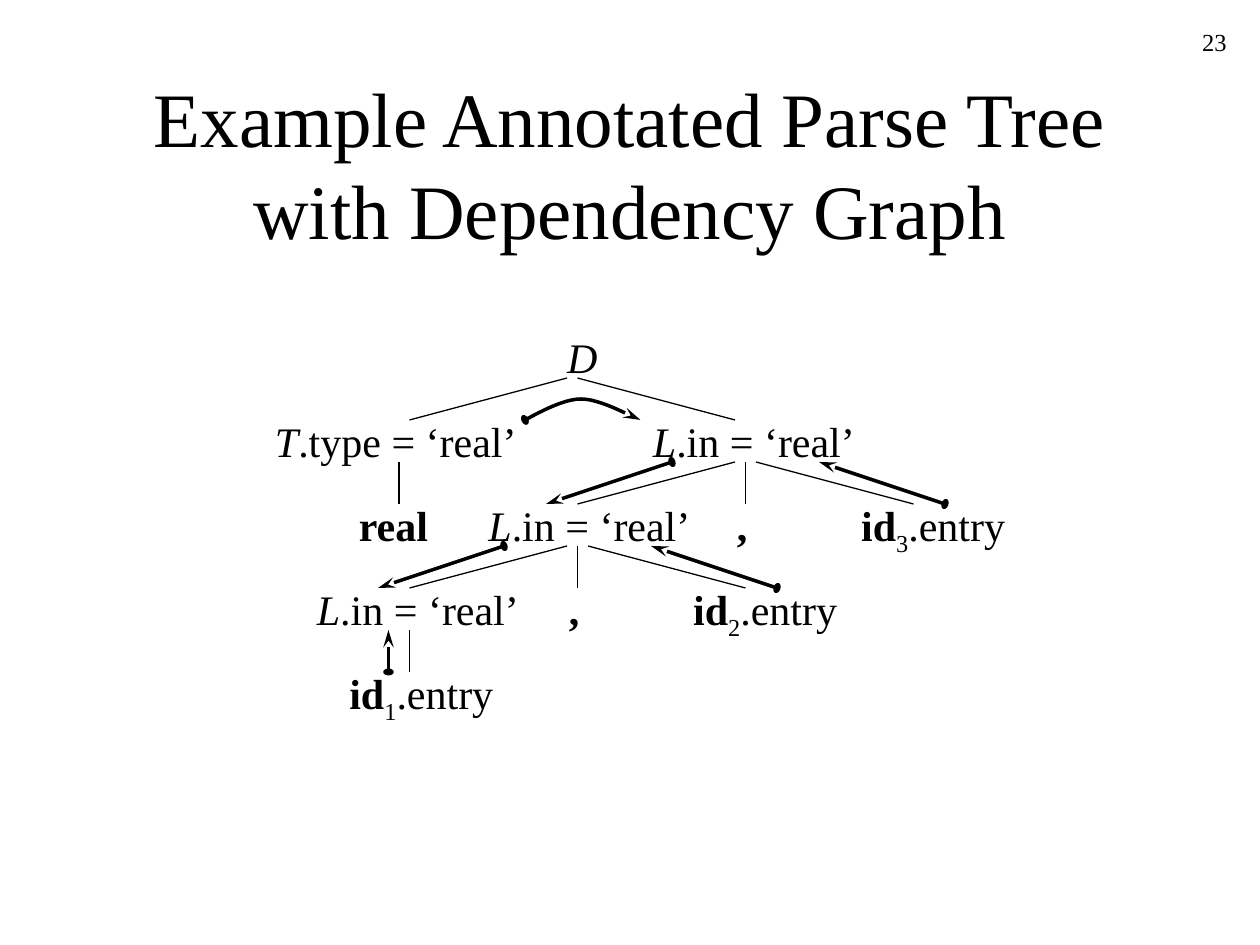
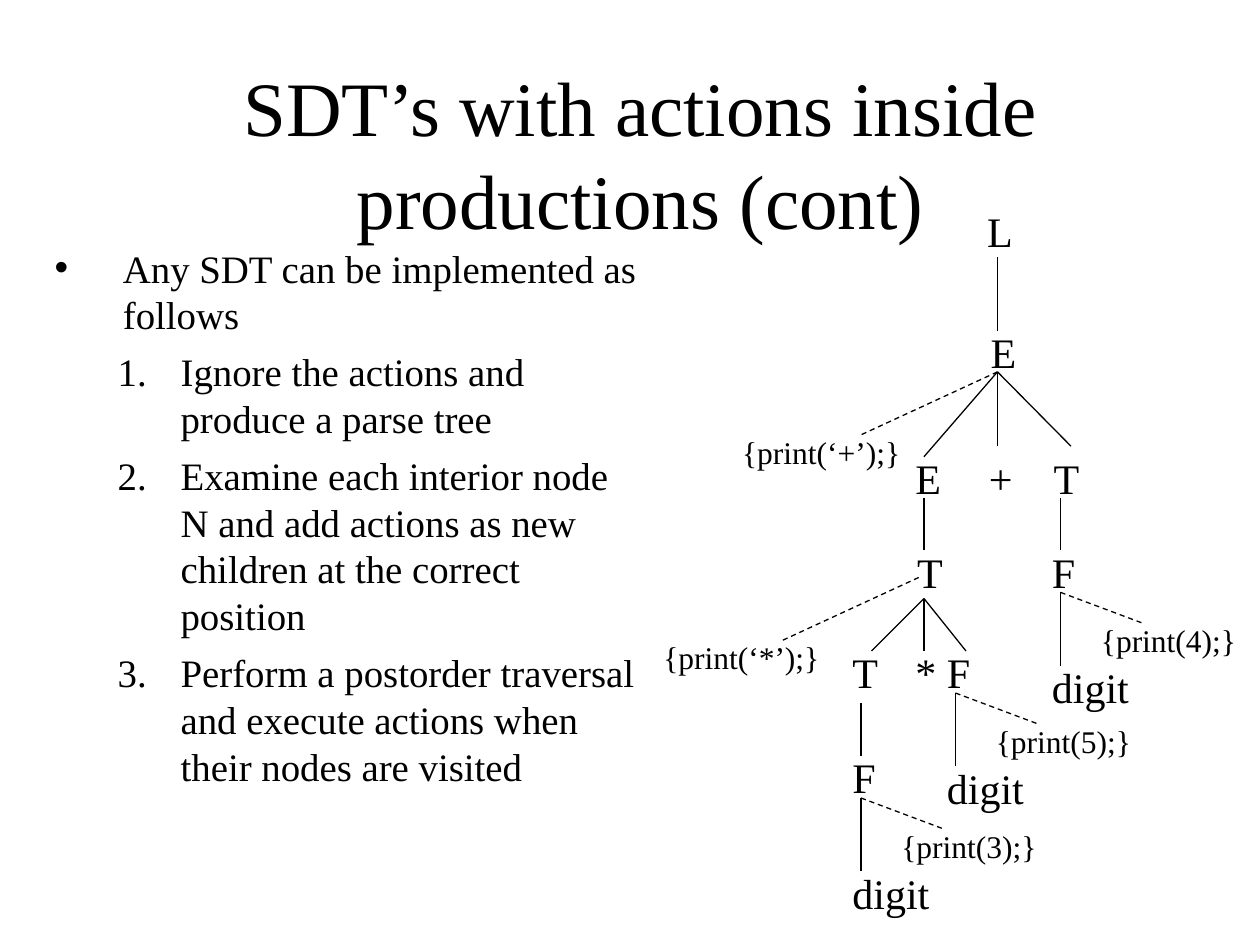
import lxml.etree
import pptx
import pptx.dml.color
import pptx.enum.dml
import pptx.enum.shapes
import pptx.enum.text
import pptx.oxml.ns
import pptx.util

Pt = pptx.util.Pt
qn = pptx.oxml.ns.qn

theme = {
    "font": "Times New Roman",
    "ink": pptx.dml.color.RGBColor(0, 0, 0),
    "title": 44,
    "body": 22.2,
    "node": 24,
    "action": 18,
    "number": 14,
    "thin": 0.75,
    "thick": 2,
}


def add_run(paragraph, text, size, style=""):
    run = paragraph.add_run()
    run.text = text
    run.font.name = theme["font"]
    run.font.size = Pt(size)
    run.font.color.rgb = theme["ink"]
    run.font.bold = style == "bold"
    run.font.italic = style == "italic"
    if style == "subscript":
        run._r.get_or_add_rPr().set("baseline", "-25000")


def style_line(shape, width, arrow=False, dashed=False):
    shape.line.color.rgb = theme["ink"]
    shape.line.width = Pt(width)
    if dashed:
        shape.line.dash_style = pptx.enum.dml.MSO_LINE.DASH
    properties = shape._element.spPr
    if arrow:
        outline = properties.find(qn("a:ln"))
        lxml.etree.SubElement(outline, qn("a:headEnd"), type="oval", w="med", len="sm")
        lxml.etree.SubElement(outline, qn("a:tailEnd"), type="stealth", w="med", len="lg")
    if properties.find(qn("a:effectLst")) is None:
        lxml.etree.SubElement(properties, qn("a:effectLst"))


presentation = pptx.Presentation()
presentation.slide_width = Pt(720)
presentation.slide_height = Pt(540)
dependency_slide = presentation.slides.add_slide(presentation.slide_layouts[5])
actions_slide = presentation.slides.add_slide(presentation.slide_layouts[1])

titles = [
    (dependency_slide, "Example Annotated Parse Tree with Dependency Graph", 54, 48, 612),
    (actions_slide, "SDT’s with actions inside productions (cont)", 36, 42, 660),
]
for slide, text, left, top, width in titles:
    title = slide.shapes.title
    title.left, title.top, title.width, title.height = Pt(left), Pt(top), Pt(width), Pt(90)
    frame = title.text_frame
    frame.word_wrap = True
    frame.auto_size = pptx.enum.text.MSO_AUTO_SIZE.NONE
    frame.vertical_anchor = pptx.enum.text.MSO_ANCHOR.MIDDLE
    paragraph = frame.paragraphs[0]
    paragraph.alignment = pptx.enum.text.PP_ALIGN.CENTER
    add_run(paragraph, text, theme["title"])

number_box = dependency_slide.shapes.add_textbox(Pt(558), Pt(12), Pt(150), Pt(36))
number_box.text_frame.word_wrap = True
number_box.text_frame.paragraphs[0].alignment = pptx.enum.text.PP_ALIGN.RIGHT
add_run(number_box.text_frame.paragraphs[0], "23", theme["number"])

body = actions_slide.placeholders[1]
body.left, body.top, body.width, body.height = Pt(24), Pt(136), Pt(348), Pt(346)
body.text_frame.word_wrap = True
body.text_frame.auto_size = pptx.enum.text.MSO_AUTO_SIZE.NONE
steps = [
    (0, "Any SDT can be implemented as follows"),
    (1, "Ignore the actions and produce a parse tree"),
    (1, "Examine each interior node N and add actions as new children at the correct position"),
    (1, "Perform a postorder traversal and execute actions when their nodes are visited"),
]
for index, (level, text) in enumerate(steps):
    paragraph = body.text_frame.add_paragraph() if index else body.text_frame.paragraphs[0]
    paragraph.level = level
    paragraph.space_before = Pt(6 if index else 0)
    margin, hanging = (72, 36) if level else (39, 39)
    properties = paragraph._p.get_or_add_pPr()
    properties.set("marL", str(Pt(margin)))
    properties.set("indent", str(-Pt(hanging)))
    if level:
        lxml.etree.SubElement(properties, qn("a:buFont"), typeface=theme["font"])
        lxml.etree.SubElement(properties, qn("a:buAutoNum"), type="arabicPeriod")
    else:
        lxml.etree.SubElement(properties, qn("a:buChar"), char="•")
    add_run(paragraph, text, theme["body"])

inherited = [("L", "italic"), (".in = ‘real’", "")]
declared = [("T", "italic"), (".type = ‘real’", "")]
comma = [(",", "bold")]
entries = [[("id", "bold"), (str(i), "subscript"), (".entry", "")] for i in (1, 2, 3)]
row_step = 48
parse_nodes = [
    (0, 317, 36, [("D", "italic")]),
    (1, 150, 157, declared),
    (1, 366, 134, inherited),
    (2, 272, 134, inherited),
    (3, 174, 134, inherited),
    (3, 389, 101, entries[1]),
    (4, 192.5, 101, entries[0]),
    (2, 485, 101, entries[2]),
    (2, 198, 58, [("real", "bold")]),
    (3, 318, 24, comma),
    (2, 414, 24, comma),
]
labels = [
    (dependency_slide, left, 186 + row_step * row, width, theme["node"], runs)
    for row, left, width, runs in parse_nodes
]

tree_edges = [
    (0, 324, 234), (0, 330, 420),
    (1, 432, 522), (1, 228, 228), (1, 426, 426), (1, 420, 330),
    (2, 330, 330), (2, 324, 234), (2, 336, 426),
    (3, 234, 234),
]
lines = []
for row, upper, lower in tree_edges:
    top = 216 + row_step * row
    lines.append((dependency_slide, upper, top, lower, top + 24, theme["thin"], False, False))

dependencies = [
    (1, 384, 312, "down"), (1, 468, 540, "up"),
    (2, 288, 216, "down"), (2, 372, 444, "up"),
    (3, 222, 222, "up"),
]
for row, upper, lower, direction in dependencies:
    top = 216 + row_step * row
    start, end = (upper, top), (lower, top + 24)
    if direction == "up":
        start, end = end, start
    lines.append((dependency_slide, *start, *end, theme["thick"], True, False))

solid_edges = [
    (570, 147, 570, 189), (570, 212.5, 570, 255), (570, 212.5, 528, 261),
    (570, 212.5, 612, 255), (606, 284.5, 606, 314.5), (528, 284.5, 528, 314.5),
    (528, 342, 528, 372), (528, 342, 498, 372), (528, 342, 552, 372),
    (492, 402, 492, 432),
]
dashed_edges = [(570, 212.5, 492, 248.5), (525, 330, 447, 366)]

action_nodes = [
    (557, 114, 33, "L"), (559, 183, 33, "E"), (558, 255, 32, "+"),
    (516, 255, 33, "E"), (595, 255, 33, "T"), (517, 309, 33, "T"),
    (480, 366, 33, "T"), (516, 366, 30, "*"),
]
printed_actions = [(417, 244, 109, "{print(‘+’);}"), (372, 361, 108, "{print(‘*’);}")]

for x, y, digit in [(606, 338.5, 4), (546, 396, 5), (492, 456, 3)]:
    solid_edges.append((x, y, x, y + 42))
    dashed_edges.append((x, y, x + 48, y + 18))
    action_nodes.append((x - 12, y - 30, 32, "F"))
    action_nodes.append((x - 12, y + 36, 63, "digit"))
    printed_actions.append((x + 16, y + 13, 96, f"{{print({digit});}}"))

for edges, dashed in [(solid_edges, False), (dashed_edges, True)]:
    for edge in edges:
        lines.append((actions_slide, *edge, theme["thin"], False, dashed))
for nodes, size in [(action_nodes, theme["node"]), (printed_actions, theme["action"])]:
    for left, top, width, text in nodes:
        labels.append((actions_slide, left, top, width, size, [(text, "")]))

for slide, left, top, width, size, runs in labels:
    box = slide.shapes.add_textbox(Pt(left), Pt(top), Pt(width), Pt(1.5 * size))
    box.text_frame.word_wrap = True
    box.text_frame.auto_size = pptx.enum.text.MSO_AUTO_SIZE.NONE
    for text, style in runs:
        add_run(box.text_frame.paragraphs[0], text, size, style)

for slide, x1, y1, x2, y2, width, arrow, dashed in lines:
    connector = slide.shapes.add_connector(
        pptx.enum.shapes.MSO_CONNECTOR.STRAIGHT, Pt(x1), Pt(y1), Pt(x2), Pt(y2)
    )
    style_line(connector, width, arrow, dashed)

arc_curves = [
    [(300, 240), (305, 237.5), (321, 228), (332, 228)],
    [(332, 228), (343, 228), (358.5, 237), (366, 240)],
]
arc_points = []
for curve in arc_curves:
    for step in range(1, 13):
        t = step / 12
        weights = [(1 - t) ** 3, 3 * t * (1 - t) ** 2, 3 * t * t * (1 - t), t ** 3]
        arc_points.append(tuple(
            Pt(sum(weight * point[axis] for weight, point in zip(weights, curve)))
            for axis in (0, 1)
        ))
builder = dependency_slide.shapes.build_freeform(Pt(300), Pt(240))
builder.add_line_segments(arc_points, close=False)
type_arc = builder.convert_to_shape()
type_arc.fill.background()
type_arc.shadow.inherit = False
style_line(type_arc, theme["thick"], arrow=True)

presentation.save("out.pptx")
